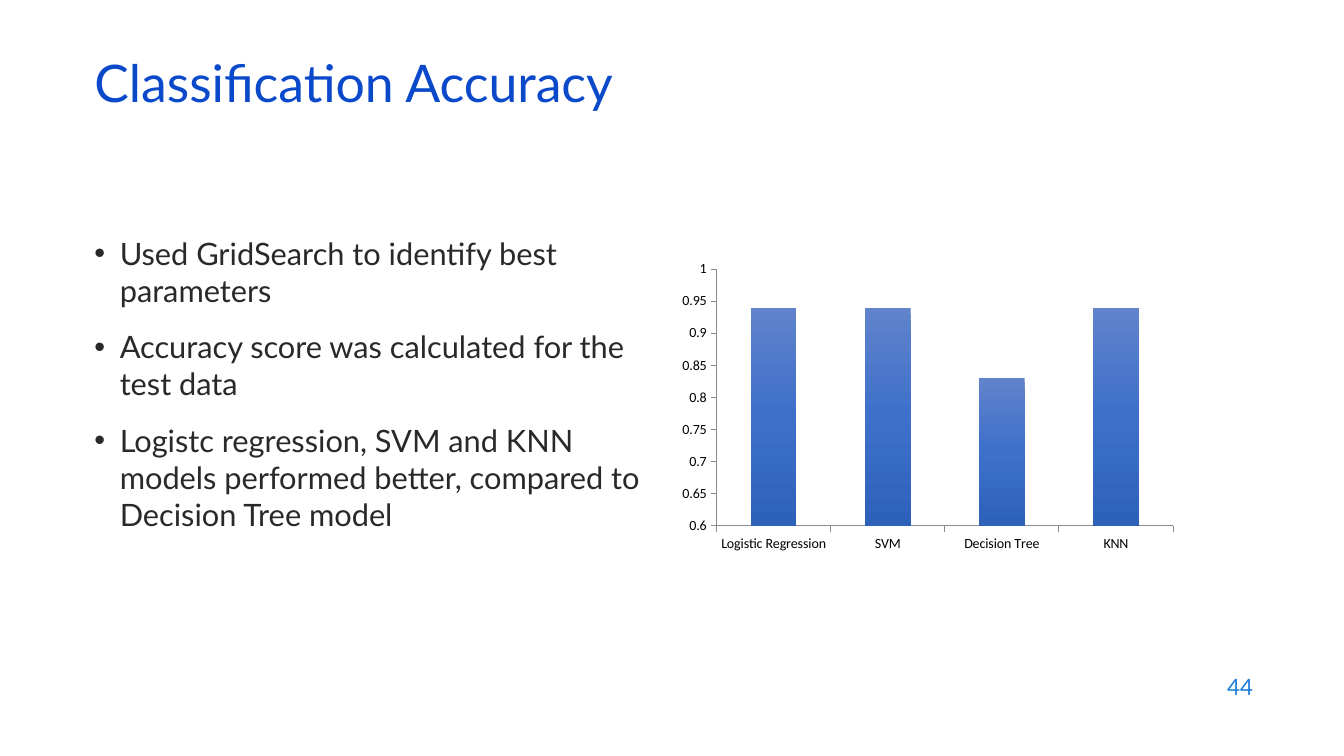
from copy import deepcopy

from lxml import etree
from pptx import Presentation
from pptx.chart.data import CategoryChartData
from pptx.dml.color import RGBColor
from pptx.enum.chart import XL_CHART_TYPE, XL_TICK_MARK
from pptx.enum.text import MSO_ANCHOR, PP_ALIGN
from pptx.oxml.ns import qn
from pptx.util import Cm, Pt

COLUMNS = XL_CHART_TYPE.COLUMN_CLUSTERED
TICK_OUTSIDE = XL_TICK_MARK.OUTSIDE
TOP, MIDDLE = MSO_ANCHOR.TOP, MSO_ANCHOR.MIDDLE
LEFT, RIGHT = PP_ALIGN.LEFT, PP_ALIGN.RIGHT

TITLE_BLUE = RGBColor(0x0B, 0x49, 0xCB)
NUMBER_BLUE = RGBColor(0x1C, 0x7D, 0xDB)
BODY_GRAY = RGBColor(0x29, 0x29, 0x29)
AXIS_GRAY = RGBColor(0x8B, 0x8B, 0x8B)
BLACK = RGBColor(0x00, 0x00, 0x00)
BAR_TOP = RGBColor(0x60, 0x83, 0xCB)
BAR_MIDDLE = RGBColor(0x3E, 0x70, 0xCA)
BAR_BOTTOM = RGBColor(0x2E, 0x61, 0xBA)

FINDINGS = [
    "Used GridSearch to identify best parameters",
    "Accuracy score was calculated for the test data",
    "Logistc regression, SVM and KNN models performed better, compared to Decision Tree model",
]
ACCURACY = {"Logistic Regression": 0.94, "SVM": 0.94, "Decision Tree": 0.83, "KNN": 0.94}

presentation = Presentation()
presentation.slide_width = Cm(33.87)
presentation.slide_height = Cm(19.05)
slide = presentation.slides.add_slide(presentation.slide_layouts[6])


def add_text(lines, left, top, width, height, size, color, anchor=TOP, alignment=LEFT):
    shape = slide.shapes.add_textbox(Cm(left), Cm(top), Cm(width), Cm(height))
    text_frame = shape.text_frame
    text_frame.word_wrap = True
    text_frame.vertical_anchor = anchor
    text_frame.text = "\n".join(lines)
    for paragraph in text_frame.paragraphs:
        paragraph.alignment = alignment
        for run in paragraph.runs:
            run.font.name = "Lato"
            run.font.size = Pt(size)
            run.font.color.rgb = color
    return text_frame.paragraphs


title = add_text(["Classification Accuracy"], 2.13, 1.5, 29.21, 1.52, 37, TITLE_BLUE, MIDDLE)
title[0].line_spacing = 0.7

bullets = add_text(FINDINGS, 2.13, 5.79, 14.78, 10.59, 22, BODY_GRAY)
for index, paragraph in enumerate(bullets):
    paragraph.space_before = Pt(14 if index else 0)
    properties = paragraph._p.get_or_add_pPr()
    properties.set("marL", str(Cm(0.64)))
    properties.set("indent", str(-Cm(0.64)))
    etree.SubElement(properties, qn("a:buFont")).set("typeface", "Arial")
    etree.SubElement(properties, qn("a:buChar")).set("char", "•")

add_text(["44"], 24.21, 16.74, 7.62, 1.12, 16, NUMBER_BLUE, MIDDLE, RIGHT)

chart_data = CategoryChartData()
chart_data.categories = list(ACCURACY)
chart_data.add_series("Series 1", list(ACCURACY.values()))
chart = slide.shapes.add_chart(
    COLUMNS, Cm(16.94), Cm(6.43), Cm(12.88), Cm(7.62), chart_data
).chart
chart.has_legend = False
chart.has_title = False
chart.font.name = "Calibri"
chart.font.size = Pt(10)
chart.font.color.rgb = BLACK

for axis in (chart.category_axis, chart.value_axis):
    axis.has_major_gridlines = False
    axis.major_tick_mark = TICK_OUTSIDE
    axis.format.line.color.rgb = AXIS_GRAY
    axis.format.line.width = Pt(0.75)
chart.value_axis.minimum_scale = 0.6
chart.value_axis.maximum_scale = 1
chart.value_axis.major_unit = 0.05

plot = chart.plots[0]
plot.gap_width = 150
plot.vary_by_categories = False
bars = plot.series[0]
bars.invert_if_negative = False
fill = bars.format.fill
fill.gradient()
fill.gradient_angle = 270
stop_list = bars._element.find(".//" + qn("a:gsLst"))
stop_list.insert(1, deepcopy(stop_list[0]))
stops = zip(fill.gradient_stops, (0, 0.5, 1), (BAR_TOP, BAR_MIDDLE, BAR_BOTTOM))
for stop, position, color in stops:
    stop.position = position
    stop.color.rgb = color

presentation.save("out.pptx")
